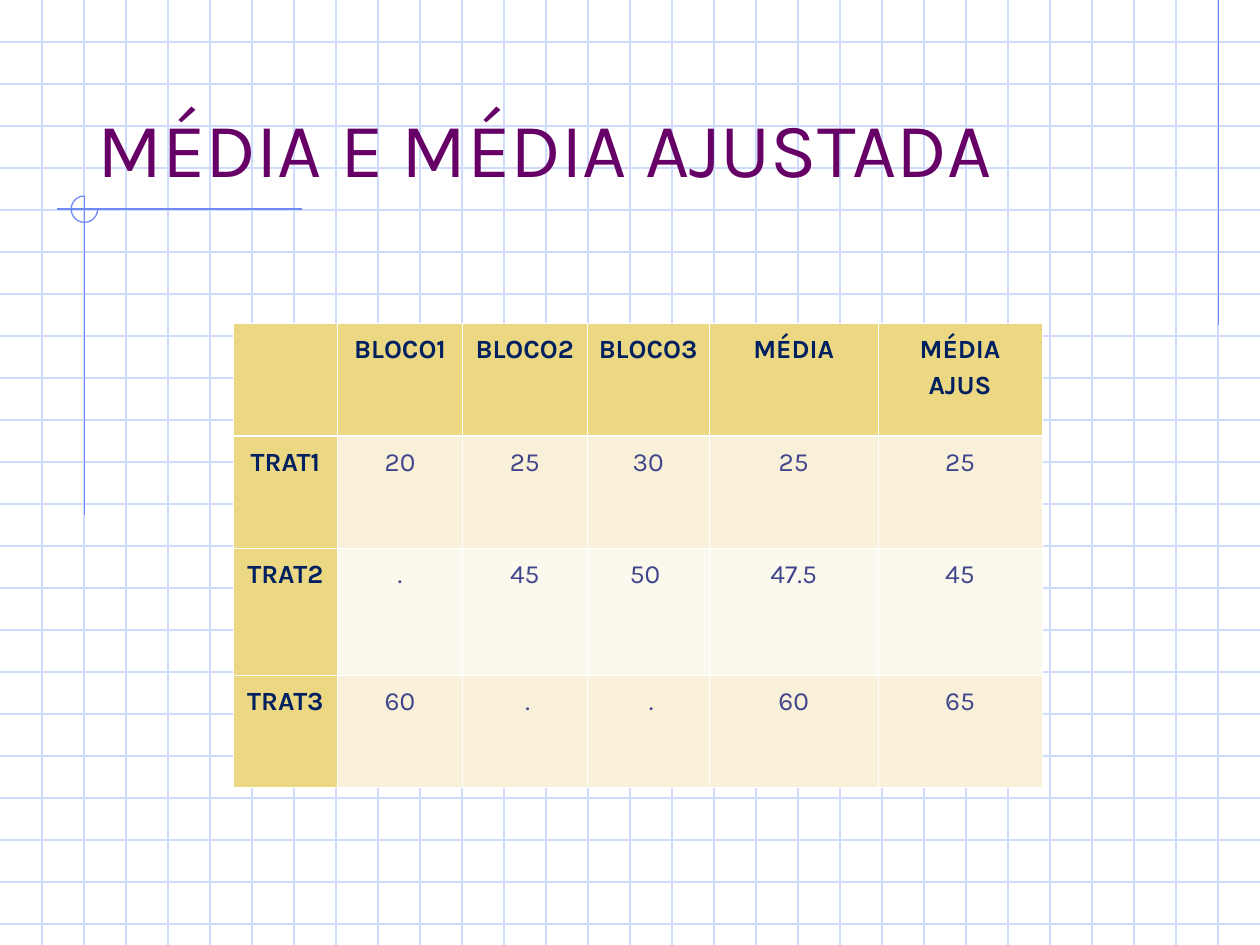
import dataclasses

import pptx
import pptx.dml.color
import pptx.enum.shapes
import pptx.enum.text
import pptx.oxml
import pptx.oxml.ns
import pptx.util
from pptx.util import Inches


@dataclasses.dataclass(frozen=True)
class Theme:
    """Colours, type and line widths of the slide."""
    font: str = "Karla"
    title: str = "660066"
    grid: str = "CFDBFD"
    accent: str = "6F89F7"
    head_text: str = "002060"
    body_text: str = "40458C"
    head_fill: str = "ECD882"
    bands: tuple = ("F8F0D8", "FBF8ED")
    border: str = "FFFFFF"
    title_size: float = 44
    table_size: float = 15
    line: float = 0.75
    thin: float = 0.45
    thick: float = 1.47


THEME = Theme()
COLS = (0.83, 0.99, 0.99, 0.97, 1.34, 1.3)
ROWS = (0.89, 0.89, 1, 0.89)
DATA = (
    ("", "BLOCO1", "BLOCO2", "BLOCO3", "MÉDIA", "MÉDIA AJUS"),
    ("TRAT1", "20", "25", "30", "25", "25"),
    ("TRAT2", ".", "45", "50 ", "47.5", "45"),
    ("TRAT3", "60", " .", " .", "60", "65"),
)


def rgb(value):
    """Turn a hex string into a colour."""
    return pptx.dml.color.RGBColor.from_string(value)


def style_font(font, size, color, bold=False):
    """Apply the theme font with a size, colour and weight."""
    font.name = THEME.font
    font.size = pptx.util.Pt(size)
    font.bold = bold
    font.color.rgb = rgb(color)


def add_line(shapes, x1, y1, x2, y2, color):
    """Draw a straight line between two points in inches."""
    line = shapes.add_connector(
        pptx.enum.shapes.MSO_CONNECTOR.STRAIGHT,
        Inches(x1), Inches(y1), Inches(x2), Inches(y2))
    line.line.color.rgb = rgb(color)
    line.line.width = pptx.util.Pt(THEME.line)
    line.element.spPr.append(pptx.oxml.parse_xml(
        f"<a:effectLst {pptx.oxml.ns.nsdecls('a')}/>"))


def add_grid(s, left, top, width, height, per_inch=3):
    """Rule the box into squares."""
    shapes = s.shapes.add_group_shape().shapes
    for i in range(1, int(height * per_inch) + 1):
        y = top + i / per_inch
        add_line(shapes, left, y, left + width, y, THEME.grid)
    for i in range(1, int(width * per_inch)):
        x = left + i / per_inch
        add_line(shapes, x, top, x, top + height, THEME.grid)


def add_accents(s, left, top, width, height):
    """Draw the right rule and the crossed rules with their open circle."""
    shapes = s.shapes.add_group_shape().shapes
    right, x, y, radius = left + width, left + 0.22, top + 1.66, 0.105
    add_line(shapes, right, top, right, top + 2.58, THEME.accent)
    add_line(shapes, left + 1.95, y, left, y, THEME.accent)
    add_line(shapes, x, y - radius, x, top + height, THEME.accent)
    arc = shapes.add_shape(
        pptx.enum.shapes.MSO_SHAPE.ARC, Inches(x - radius), Inches(y - radius),
        Inches(2 * radius), Inches(2 * radius))
    arc.adjustments[0] = 0
    arc.adjustments[1] = 162
    arc.shadow.inherit = False
    arc.fill.background()
    arc.line.color.rgb = rgb(THEME.accent)
    arc.line.width = pptx.util.Pt(THEME.line)


def add_title(s, left, top, width, height, text):
    """Place and format the title in front of the background."""
    sp = s.shapes.title
    sp.element.getparent().append(sp.element)
    sp.left, sp.top = Inches(left), Inches(top)
    sp.width, sp.height = Inches(width), Inches(height)
    tf = sp.text_frame
    tf.text = text
    tf.auto_size = pptx.enum.text.MSO_AUTO_SIZE.NONE
    tf.vertical_anchor = pptx.enum.text.MSO_ANCHOR.BOTTOM
    p = tf.paragraphs[0]
    p.alignment = pptx.enum.text.PP_ALIGN.LEFT
    style_font(p.runs[0].font, THEME.title_size, THEME.title)


def set_borders(cell, top, bottom):
    """Edge a cell, with its own widths above and below."""
    tc_pr = cell._tc.get_or_add_tcPr()
    widths = {"L": THEME.thin, "R": THEME.thin, "T": top, "B": bottom}
    for i, (side, width) in enumerate(widths.items()):
        tc_pr.insert(i, pptx.oxml.parse_xml(
            f'<a:ln{side} {pptx.oxml.ns.nsdecls("a")} w="{pptx.util.Pt(width)}">'
            f'<a:solidFill><a:srgbClr val="{THEME.border}"/></a:solidFill>'
            f'</a:ln{side}>'))


def fill_cell(cell, text, row, col):
    """Write and format one cell according to its place."""
    head = row == 0 or col == 0
    cell.fill.solid()
    cell.fill.fore_color.rgb = rgb(
        THEME.head_fill if head else THEME.bands[(row - 1) % 2])
    set_borders(cell, THEME.thick if row == 1 else THEME.thin,
                THEME.thick if row == 0 else THEME.thin)
    cell.margin_left = cell.margin_right = Inches(0.07)
    cell.margin_top = cell.margin_bottom = Inches(0.05)
    p = cell.text_frame.paragraphs[0]
    p.text = text
    p.alignment = pptx.enum.text.PP_ALIGN.CENTER
    p.line_spacing = 1.15
    for r in p.runs:
        style_font(r.font, THEME.table_size,
                   THEME.head_text if head else THEME.body_text, head)


def add_means_table(s, left, top, width, height):
    """Build the table of block values and means."""
    table = s.shapes.add_table(
        len(ROWS), len(COLS), Inches(left), Inches(top),
        Inches(width), Inches(height)).table
    table.first_col = True
    for column, share in zip(table.columns, COLS):
        column.width = Inches(width * share / sum(COLS))
    for row, share in zip(table.rows, ROWS):
        row.height = Inches(height * share / sum(ROWS))
    for i, values in enumerate(DATA):
        for j, text in enumerate(values):
            fill_cell(table.cell(i, j), text, i, j)


def main():
    """Build and save the slide."""
    prs = pptx.Presentation()
    prs.slide_width, prs.slide_height = Inches(10), Inches(7.5)
    s = prs.slides.add_slide(prs.slide_layouts[5])
    add_grid(s, 0, 0, 10, 7.5)
    add_accents(s, 0.45, 0, 9.22, 4.09)
    add_title(s, 0.67, 0.33, 8.5, 1.25, "MÉDIA E MÉDIA AJUSTADA")
    add_means_table(s, 1.85, 2.57, 6.42, 3.68)
    prs.save("out.pptx")


if __name__ == "__main__":
    main()
